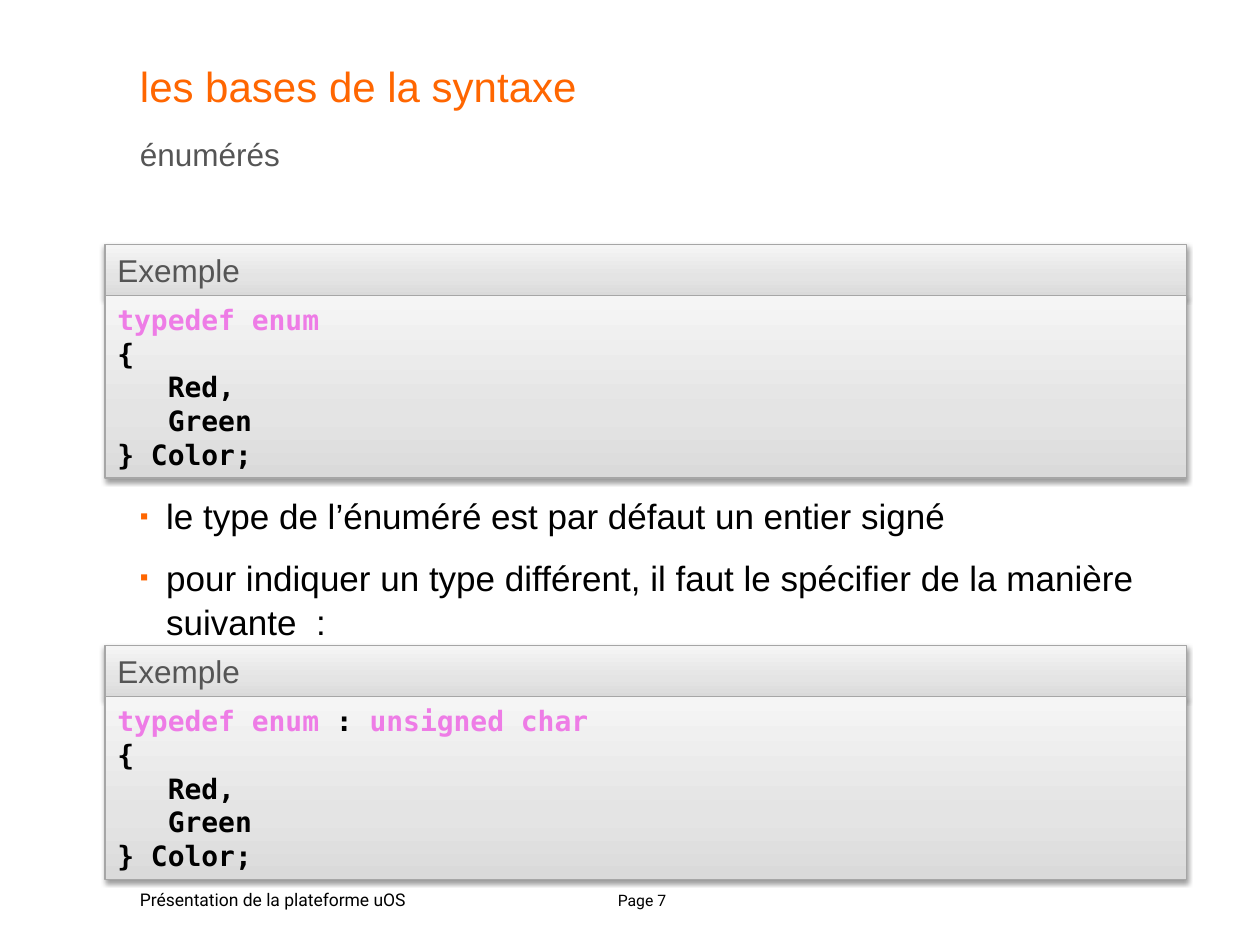
from lxml.etree import SubElement as Sub
from pptx import Presentation
from pptx.dml.color import RGBColor as RGB
from pptx.enum.shapes import MSO_SHAPE as Form
from pptx.enum.text import MSO_ANCHOR as Anchor, MSO_AUTO_SIZE as Auto, PP_ALIGN as Align
from pptx.oxml import parse_xml
from pptx.oxml.ns import nsdecls, qn
from pptx.util import Pt

ORANGE = RGB(0xFF, 0x66, 0x00)
GREY = RGB(0x55, 0x55, 0x55)
EDGE = RGB(0xA6, 0xA6, 0xA6)
PINK = RGB(0xEE, 0x7C, 0xE6)
BLACK = RGB(0x00, 0x00, 0x00)
STOPS = [(0, "DADADA"), (35, "E4E4E4"), (100, "F5F5F5")]
SANS, MONO, SMALL = "Arial", "DejaVu Sans Mono", "Roboto"
LEFT, WIDTH = 80, 615
INDENT = 15


class Deck:
    def __init__(self):
        self.prs = Presentation()
        self.prs.slide_width, self.prs.slide_height = Pt(720), Pt(540)
        self.slide = self.prs.slides.add_slide(self.prs.slide_layouts[6])

    def fill_in(self, frame, lines, size, font, bold=False):
        for i, line in enumerate(lines):
            para = frame.paragraphs[0] if i == 0 else frame.add_paragraph()
            para.alignment = Align.LEFT
            for text, color in line:
                run = para.add_run()
                run.text = text
                run.font.size = Pt(size)
                run.font.name = font
                run.font.bold = bold
                run.font.color.rgb = color

    def text(self, box, lines, size, font=SANS, pad=(0, 0), wrap=True, pitch=1.0):
        frame = self.slide.shapes.add_textbox(*map(Pt, box)).text_frame
        frame.word_wrap = wrap
        frame.margin_left = frame.margin_right = Pt(pad[0])
        frame.margin_top = frame.margin_bottom = Pt(pad[1])
        self.fill_in(frame, lines, size, font)
        for para in frame.paragraphs:
            para.line_spacing = pitch
        return frame

    def bullets(self, box, items, size):
        frame = self.text(box, [[(item, BLACK)] for item in items], size, pitch=1.05)
        for para in frame.paragraphs:
            para.space_after = Pt(size / 2)
            props = para._p.get_or_add_pPr()
            props.set("marL", str(Pt(INDENT)))
            props.set("indent", str(-Pt(INDENT)))
            color = Sub(props, qn("a:buClr"))
            Sub(color, qn("a:srgbClr"), val=str(ORANGE))
            Sub(props, qn("a:buSzPct"), val="70000")
            Sub(props, qn("a:buFont"), typeface=SANS)
            Sub(props, qn("a:buChar"), char="▪")

    def panel(self, group, top, height, lines, size, font, bold=False):
        shape = group.shapes.add_shape(
            Form.RECTANGLE, Pt(60), Pt(top), Pt(618), Pt(height))
        shape.line.color.rgb = EDGE
        shape.line.width = Pt(0.75)
        stops = "".join(
            f'<a:gs pos="{pos * 1000}"><a:srgbClr val="{color}"/></a:gs>'
            for pos, color in STOPS)
        props = shape._element.spPr
        props.find(qn("a:prstGeom")).addnext(parse_xml(
            f'<a:gradFill {nsdecls("a")} rotWithShape="1"><a:gsLst>{stops}</a:gsLst>'
            '<a:lin ang="16200000" scaled="0"/></a:gradFill>'))
        props.append(parse_xml(
            f'<a:effectLst {nsdecls("a")}><a:outerShdw blurRad="{Pt(3.1)}" '
            f'dist="{Pt(1.6)}" dir="5400000" rotWithShape="0"><a:srgbClr val="000000">'
            '<a:alpha val="38000"/></a:srgbClr></a:outerShdw></a:effectLst>'))
        frame = shape.text_frame
        frame.word_wrap = True
        frame.auto_size = Auto.SHAPE_TO_FIT_TEXT
        frame.vertical_anchor = Anchor.MIDDLE
        self.fill_in(frame, lines, size, font, bold)

    def sample(self, top, head):
        group = self.slide.shapes.add_group_shape()
        body = ["{", "   Red,", "   Green", "} Color;"]
        code = [head] + [[(line, BLACK)] for line in body]
        self.panel(group, top, 29.1, [[("Exemple", GREY)]], 18, SANS)
        self.panel(group, top + 29.1, 104.4, code, 16, MONO, True)

    def save(self):
        self.prs.save("out.pptx")


def main():
    deck = Deck()
    page = deck.text((337.7, 505.5, 58.3, 17.3), [[("Page 7", BLACK)]], 9, SMALL, (7.2, 3.6))
    page.paragraphs[0].alignment = Align.CENTER
    deck.text((LEFT, 31.7, WIDTH, 38.9), [[("les bases de la syntaxe", ORANGE)]], 24, pitch=1.1)
    deck.text((LEFT, 504.7, 196, 17.3), [[("Présentation de la plateforme uOS", BLACK)]],
              10, SMALL, (0, 3.6), False)
    deck.text((LEFT, 76.3, WIDTH, 23.8), [[("énumérés", GREY)]], 18, pitch=1.05)
    deck.sample(139.7, [("typedef enum", PINK)])
    deck.bullets((LEFT, 281.5, WIDTH, 85), [
        "le type de l’énuméré est par défaut un entier signé",
        "pour indiquer un type différent, il faut le spécifier de la manière suivante  :",
    ], 20)
    deck.sample(368.9, [("typedef enum ", PINK), (": ", BLACK), ("unsigned char", PINK)])
    deck.save()


if __name__ == "__main__":
    main()
